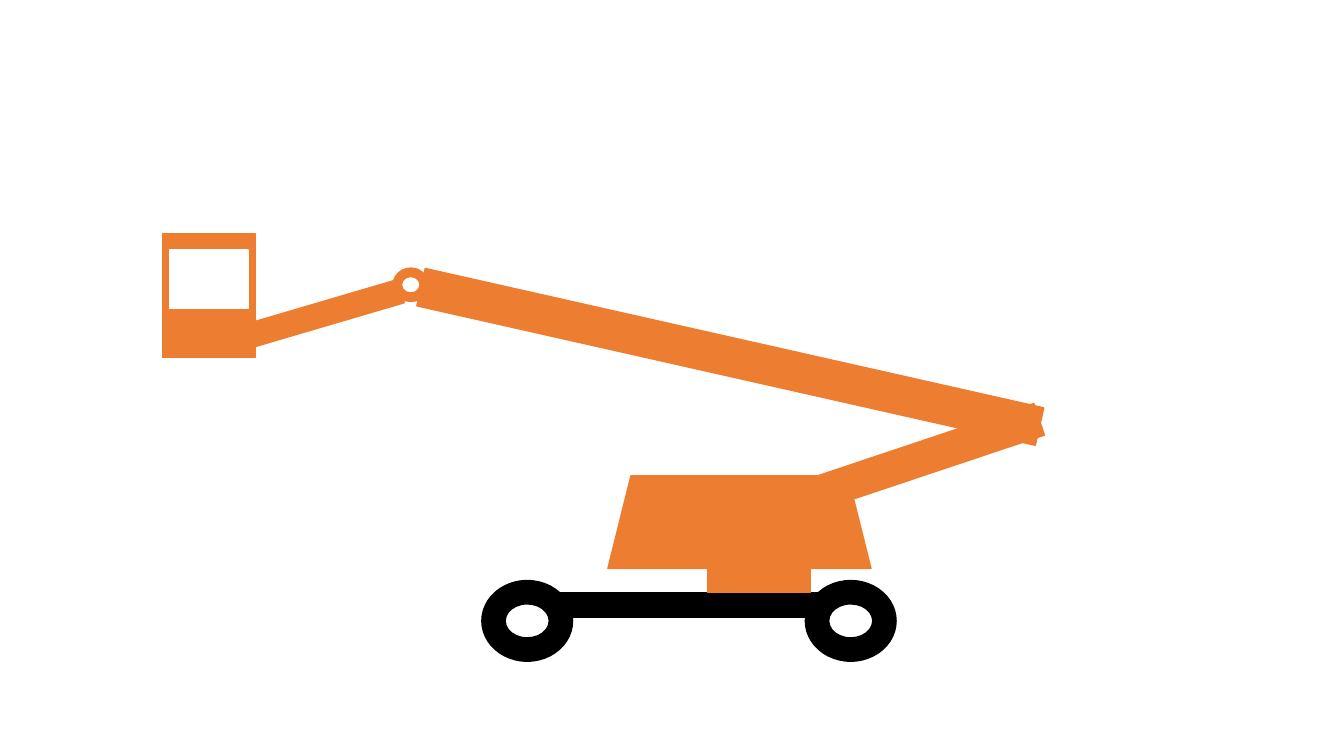
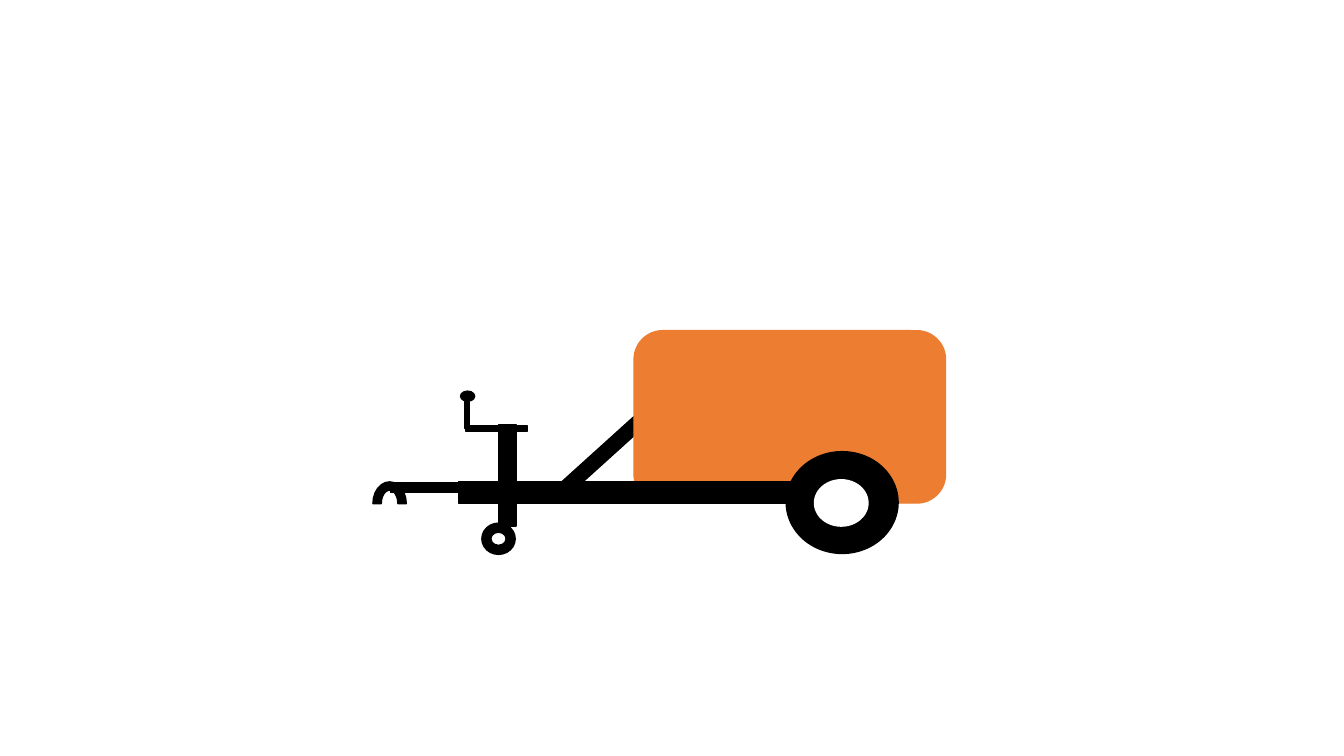
from dataclasses import dataclass

from pptx import Presentation
from pptx.dml.color import RGBColor
from pptx.enum.shapes import MSO_SHAPE
from pptx.util import Pt

RECT = MSO_SHAPE.RECTANGLE
BAR = MSO_SHAPE.FLOWCHART_PROCESS
RING = MSO_SHAPE.DONUT
OVAL = MSO_SHAPE.OVAL
ROUND = MSO_SHAPE.ROUNDED_RECTANGLE
TRAP = MSO_SHAPE.TRAPEZOID
ARC = MSO_SHAPE.BLOCK_ARC
BLANK = 6


@dataclass(frozen=True)
class Theme:
    """Colours, line width and tyre thickness used on both slides."""
    black: RGBColor = RGBColor(0x00, 0x00, 0x00)
    orange: RGBColor = RGBColor(0xED, 0x7D, 0x31)
    white: RGBColor = RGBColor(0xFF, 0xFF, 0xFF)
    line: float = 1
    tyre: float = 0.289


THEME = Theme()


def part(slide, kind, color, box, turn=0):
    """Add one flat part; box is left, top, width and height in points."""
    shape = slide.shapes.add_shape(kind, *(Pt(n) for n in box))
    shape.shadow.inherit = False
    shape.fill.solid()
    shape.fill.fore_color.rgb = color
    shape.line.color.rgb = color
    shape.line.width = Pt(THEME.line)
    shape.rotation = turn
    return shape


def wheel(slide, box, tyre=THEME.tyre):
    """Add a black ring with the given tyre thickness."""
    part(slide, RING, THEME.black, box).adjustments[0] = tyre


def draw_lift(slide):
    """Draw the boom lift from the wheels up to the cage."""
    black, orange, white = THEME.black, THEME.orange, THEME.white
    part(slide, RECT, black, (397.4, 423.4, 187.9, 17.3))  # chassis
    for left in (344.2, 575.3):
        wheel(slide, (left, 414.7, 64.8, 57.6))
    part(slide, RECT, orange, (505.4, 406.1, 73.4, 17.3))  # turntable
    part(slide, TRAP, orange, (434.2, 339.8, 187.9, 66.2))  # engine house
    part(slide, RECT, orange, (496.8, 327.6, 252, 23.8), 341.5)  # riser
    part(slide, RECT, orange, (295.2, 241.2, 452.9, 27.4), 12.7)  # boom
    part(slide, RING, orange, (280.8, 191.5, 25.2, 23.8))  # joint
    part(slide, RECT, orange, (175.7, 215.3, 113, 17.3), 343.6)  # jib
    part(slide, RECT, orange, (115.9, 167, 66.2, 88.6))  # cage
    part(slide, RECT, white, (121, 178.6, 56.2, 41.8))  # cage opening


def draw_cart(slide):
    """Draw the trailer with its drawbar, jockey wheel and crank."""
    black, orange, white = THEME.black, THEME.orange, THEME.white
    part(slide, BAR, black, (431.3, 270.7, 10.1, 97.2), 47.9)  # strut
    part(slide, ROUND, orange, (452.9, 236.2, 222.5, 123.1))  # body
    wheel(slide, (561.6, 322.6, 79.9, 72.7))
    part(slide, OVAL, white, (581.8, 342.7, 38.2, 33.1))  # hub
    part(slide, RECT, black, (327.6, 344.2, 252, 15.1))  # frame
    part(slide, BAR, black, (356.4, 303.1, 12.2, 72.7))  # post
    wheel(slide, (344.2, 373.7, 23.8, 22.3))
    part(slide, BAR, black, (328.3, 295.2, 7.2, 105.8), 90)  # drawbar
    part(slide, ARC, black, (266.4, 344.2, 23.8, 31))  # hitch
    part(slide, BAR, black, (352.8, 283.7, 3.6, 44.6), 90)  # crank arm
    part(slide, BAR, black, (331.9, 287.3, 3.6, 18.7))  # crank handle
    wheel(slide, (329, 279.4, 10.1, 7.2), 0.467)  # crank knob


def main():
    """Build the two slides and save them."""
    deck = Presentation()
    deck.slide_width, deck.slide_height = Pt(960), Pt(540)
    for draw in (draw_lift, draw_cart):
        draw(deck.slides.add_slide(deck.slide_layouts[BLANK]))
    deck.save("out.pptx")


main()
